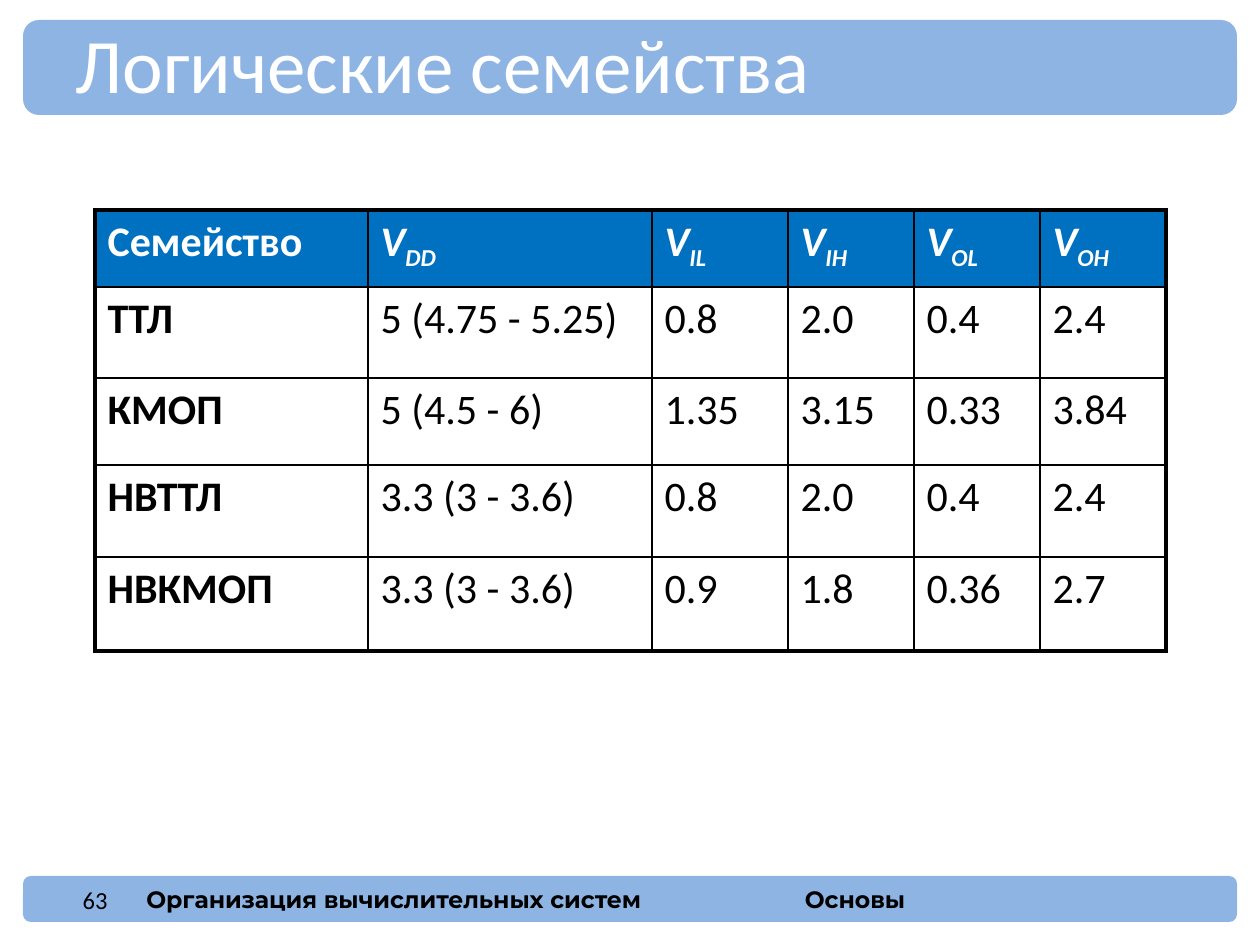
"""Build a slide with a table of logic family voltage levels."""
from lxml import etree
from pptx import Presentation
from pptx.dml.color import RGBColor
from pptx.enum.shapes import MSO_SHAPE
from pptx.enum.text import MSO_ANCHOR, PP_ALIGN
from pptx.oxml.ns import qn
from pptx.util import Emu, Pt

ROUNDED = MSO_SHAPE.ROUNDED_RECTANGLE
MIDDLE, TOP = MSO_ANCHOR.MIDDLE, MSO_ANCHOR.TOP
LEFT, CENTER, RIGHT = PP_ALIGN.LEFT, PP_ALIGN.CENTER, PP_ALIGN.RIGHT

PX = 914400 / 126
BLACK, WHITE, BAR_BLUE, HEADER_BLUE = "000000", "FFFFFF", "8EB4E3", "0070C0"
THIN, THICK = 1, 2.25

TITLE = "Логические семейства"
TITLE_AREA = (63, 10, 1092, 106)
BARS = [(23, 876, 1214, 46), (23, 20, 1214, 95)]
FOOTERS = [
    ("Организация вычислительных систем", (134, 878, 559, 42),
     dict(font="Montserrat", size=13.5, bold=True)),
    ("Основы", (536, 878, 638, 42),
     dict(font="Montserrat", size=13.5, bold=True, align=CENTER)),
    ("63", (-120, 878, 240, 43), dict(size=14, align=RIGHT)),
]
FAMILY_HEADER = "Семейство"
VOLTAGES = ["DD", "IL", "IH", "OL", "OH"]
FAMILIES = [
    ("ТТЛ", "5 (4.75 - 5.25)", "0.8", "2.0", "0.4", "2.4"),
    ("КМОП", "5 (4.5 - 6)", "1.35", "3.15", "0.33", "3.84"),
    ("НВТТЛ", "3.3 (3 - 3.6)", "0.8", "2.0", "0.4", "2.4"),
    ("НВКМОП", "3.3 (3 - 3.6)", "0.9", "1.8", "0.36", "2.7"),
]
TABLE_ORIGIN = (95, 210)
COLUMN_WIDTHS = [273, 284, 136, 126, 126, 126]
ROW_HEIGHTS = [77, 91, 87, 92, 94]


def px(length):
    return Emu(round(length * PX))


def area(box):
    return [px(length) for length in box]


def color(value):
    return RGBColor.from_string(value)


def write(frame, text, font="Calibri", size=24, ink=BLACK, bold=False,
          italic=False, align=LEFT, baseline=0):
    para = frame.paragraphs[0]
    para.alignment = align
    span = para.add_run()
    span.text = text
    span.font.name, span.font.size = font, Pt(size)
    span.font.bold, span.font.italic = bold, italic
    span.font.color.rgb = color(ink)
    if baseline:
        span.font._element.set("baseline", str(baseline * 1000))


def add_bar(page, box):
    bar = page.shapes.add_shape(ROUNDED, *area(box))
    bar.shadow.inherit = False
    bar.fill.solid()
    bar.fill.fore_color.rgb = color(BAR_BLUE)
    bar.line.fill.background()


def add_title(page):
    title = page.shapes.title
    title.element.getparent().append(title.element)
    title.left, title.top, title.width, title.height = area(TITLE_AREA)
    title.text_frame.vertical_anchor = MIDDLE
    write(title.text_frame, TITLE, size=44, ink=WHITE)


def add_label(page, text, box, style):
    frame = page.shapes.add_textbox(*area(box)).text_frame
    frame.word_wrap = True
    frame.vertical_anchor = MIDDLE
    write(frame, text, **style)


def set_borders(cell, widths):
    properties = cell._tc.get_or_add_tcPr()
    for index, (side, width) in enumerate(widths.items()):
        line = etree.Element(qn(f"a:ln{side}"), w=str(Pt(width)))
        fill = etree.SubElement(line, qn("a:solidFill"))
        etree.SubElement(fill, qn("a:srgbClr"), val=BLACK)
        properties.insert(index, line)


def add_table(page):
    rows, columns = len(ROW_HEIGHTS), len(COLUMN_WIDTHS)
    box = (*TABLE_ORIGIN, sum(COLUMN_WIDTHS), sum(ROW_HEIGHTS))
    table = page.shapes.add_table(rows, columns, *area(box)).table
    table.horz_banding = False
    for column, width in zip(table.columns, COLUMN_WIDTHS):
        column.width = px(width)
    for row, height in zip(table.rows, ROW_HEIGHTS):
        row.height = px(height)
    content = [(FAMILY_HEADER, *VOLTAGES), *FAMILIES]
    for r, texts in enumerate(content):
        for c, text in enumerate(texts):
            cell = table.cell(r, c)
            cell.vertical_anchor = TOP
            cell.fill.solid()
            cell.fill.fore_color.rgb = color(WHITE if r else HEADER_BLUE)
            style = dict(ink=BLACK if r else WHITE, bold=r == 0 or c == 0)
            if r == 0 and c > 0:
                write(cell.text_frame, "V", italic=True, **style)
                write(cell.text_frame, text, italic=True, baseline=-25, **style)
            else:
                write(cell.text_frame, text, **style)
            outer = {"L": c == 0, "R": c == columns - 1,
                     "T": r == 0, "B": r == rows - 1}
            set_borders(cell, {side: THICK if edge else THIN
                               for side, edge in outer.items()})


def main():
    deck = Presentation()
    deck.slide_width, deck.slide_height = px(1260), px(945)
    page = deck.slides.add_slide(deck.slide_layouts[5])
    for box in BARS:
        add_bar(page, box)
    add_table(page)
    add_title(page)
    for text, box, style in FOOTERS:
        add_label(page, text, box, style)
    deck.save("out.pptx")


if __name__ == "__main__":
    main()
